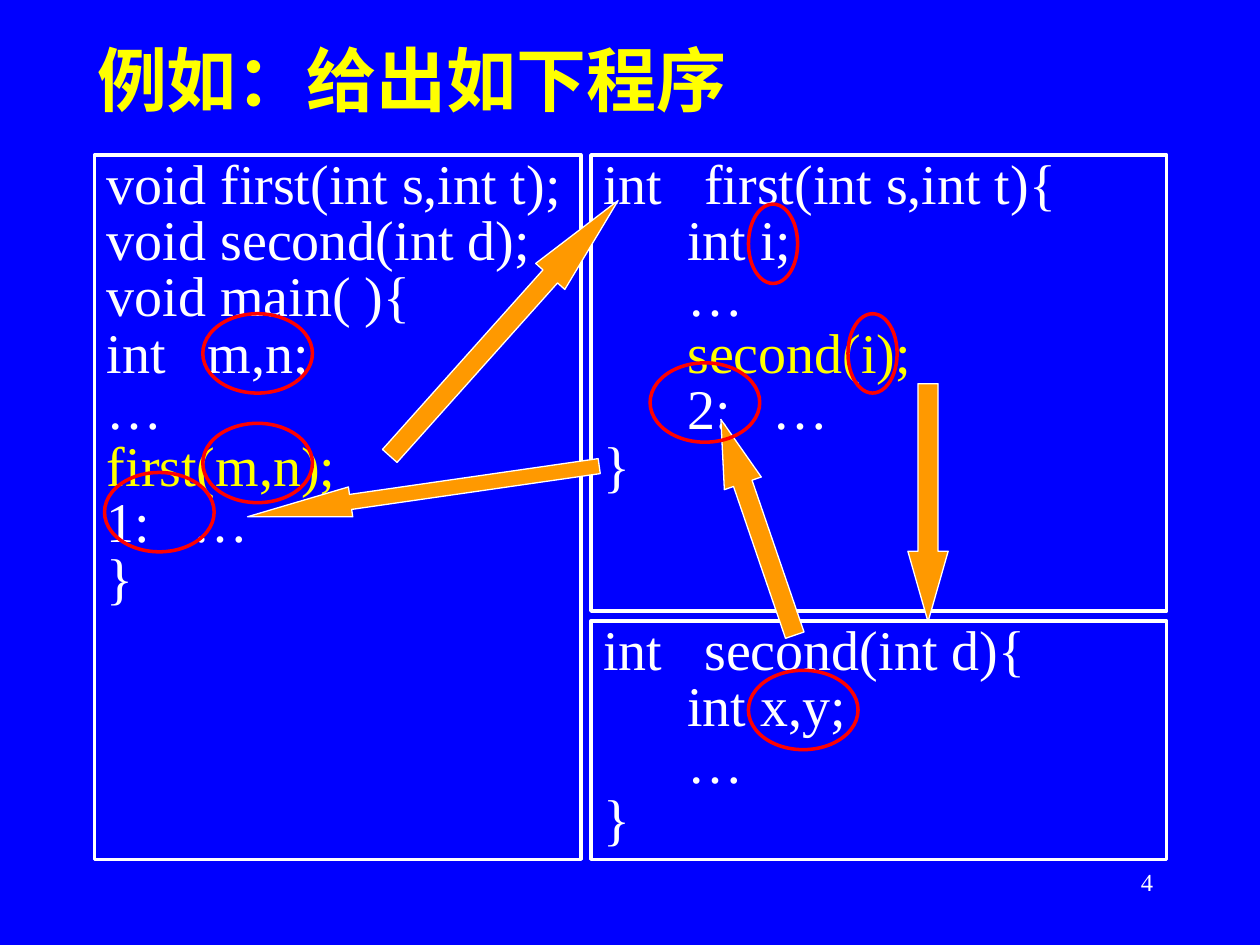
from lxml import etree
from pptx import Presentation
from pptx.dml.color import RGBColor
from pptx.enum import shapes, text
from pptx.util import Inches, Pt

BLUE = RGBColor(0x00, 0x00, 0xFF)
WHITE = RGBColor(0xFF, 0xFF, 0xFF)
YELLOW = RGBColor(0xFF, 0xFF, 0x00)
ORANGE = RGBColor(0xFF, 0x99, 0x00)
RED = RGBColor(0xFF, 0x00, 0x00)
FONT = "Times New Roman"


def add_outlined(preset, box, color, width):
    """Add an unfilled, shadowless shape; box is left, top, width, height in inches."""
    shape = slide.shapes.add_shape(preset, *(Inches(v) for v in box))
    shape.shadow.inherit = False
    shape.fill.background()
    shape.line.color.rgb = color
    shape.line.width = Pt(width)
    return shape


def style(paragraph, size, color, bold=False):
    font = paragraph.font
    font.name, font.size, font.bold = FONT, Pt(size), bold
    font.color.rgb = color


prs = Presentation()
prs.slide_width, prs.slide_height = Inches(10), Inches(7.5)
slide = prs.slides.add_slide(prs.slide_layouts[5])
slide.background.fill.solid()
slide.background.fill.fore_color.rgb = BLUE

title = slide.shapes.title
title.left, title.top, title.width, title.height = Inches(0.67), Inches(0), Inches(8.5), Inches(1.25)
title.text_frame.text = "例如：给出如下程序"
title.text_frame.vertical_anchor = text.MSO_ANCHOR.MIDDLE
heading = title.text_frame.paragraphs[0]
heading.alignment = text.PP_ALIGN.LEFT
style(heading, 40, YELLOW, bold=True)

page_number = slide.shapes.add_textbox(Inches(7.17), Inches(6.83), Inches(2.08), Inches(0.5))
page_number.text_frame.word_wrap = True
page_number.text_frame.text = "4"
page_number.text_frame.paragraphs[0].alignment = text.PP_ALIGN.RIGHT
style(page_number.text_frame.paragraphs[0], 14, WHITE)

# Each listing: box, code lines
listings = [
    ((0.75, 1.23, 3.86, 5.59), [
        "void first(int s,int t);",
        "void second(int d);",
        "void main( ){",
        "int   m,n;",
        "…",
        "first(m,n);",
        "1:   …",
        "}",
    ]),
    ((4.69, 1.23, 4.57, 3.62), [
        "int   first(int s,int t){",
        "      int i;",
        "      …",
        "      second(i);",
        "      2:   …",
        "}",
    ]),
    ((4.69, 4.93, 4.57, 1.89), [
        "int   second(int d){",
        "      int x,y;",
        "      …",
        "}",
    ]),
]
calls = {"first(m,n);", "second(i);"}
for box, code in listings:
    frame = add_outlined(shapes.MSO_SHAPE.RECTANGLE, box, WHITE, 2).text_frame
    frame.word_wrap = True
    frame.vertical_anchor = text.MSO_ANCHOR.TOP
    for number, line in enumerate(code):
        paragraph = frame.add_paragraph() if number else frame.paragraphs[0]
        paragraph.text = line
        paragraph.alignment = text.PP_ALIGN.LEFT
        paragraph.line_spacing = 0.8
        paragraph.space_before = Pt(1.5 if number else 0)
        properties = paragraph._p.get_or_add_pPr()
        properties.set("marL", str(Inches(0.38)))
        properties.set("indent", str(-Inches(0.38)))
        tabs = etree.SubElement(properties, "{http://schemas.openxmlformats.org/drawingml/2006/main}tabLst")
        for inch in range(8):
            etree.SubElement(tabs, tabs.tag.replace("tabLst", "tab"), pos=str(Inches(inch)), algn="l")
        style(paragraph, 32, YELLOW if line.strip() in calls else WHITE)

# Control flow: box, rotation, arrowhead length relative to the arrow's height
jumps = [
    ((2.64, 2.45, 2.72, 0.31), 311.8, 2.61),  # main calls first
    ((6.42, 3.83, 1.89, 0.32), 90, 1.75),     # first calls second
    ((5.11, 4.03, 1.81, 0.31), 251.1, 1.73),  # second returns to 2:
    ((1.95, 3.78, 2.82, 0.24), 171.8, 3.44),  # first returns to 1:
]
for box, rotation, head_length in jumps:
    jump = add_outlined(shapes.MSO_SHAPE.RIGHT_ARROW, box, WHITE, 0.75)
    jump.rotation = rotation
    jump.adjustments[0], jump.adjustments[1] = 0.5, head_length
    jump.fill.solid()
    jump.fill.fore_color.rgb = ORANGE

# Circled variables and return labels: left, top, width
WIDE, NARROW = 0.87, 0.39
circled = [
    (1.61, 2.49, WIDE),
    (1.61, 3.36, WIDE),
    (0.83, 3.75, WIDE),
    (5.94, 1.62, NARROW),
    (6.73, 2.49, NARROW),
    (5.16, 2.88, WIDE),
    (5.94, 5.32, WIDE),
]
for left, top, width in circled:
    add_outlined(shapes.MSO_SHAPE.OVAL, (left, top, width, 0.63), RED, 2)

prs.save("out.pptx")
